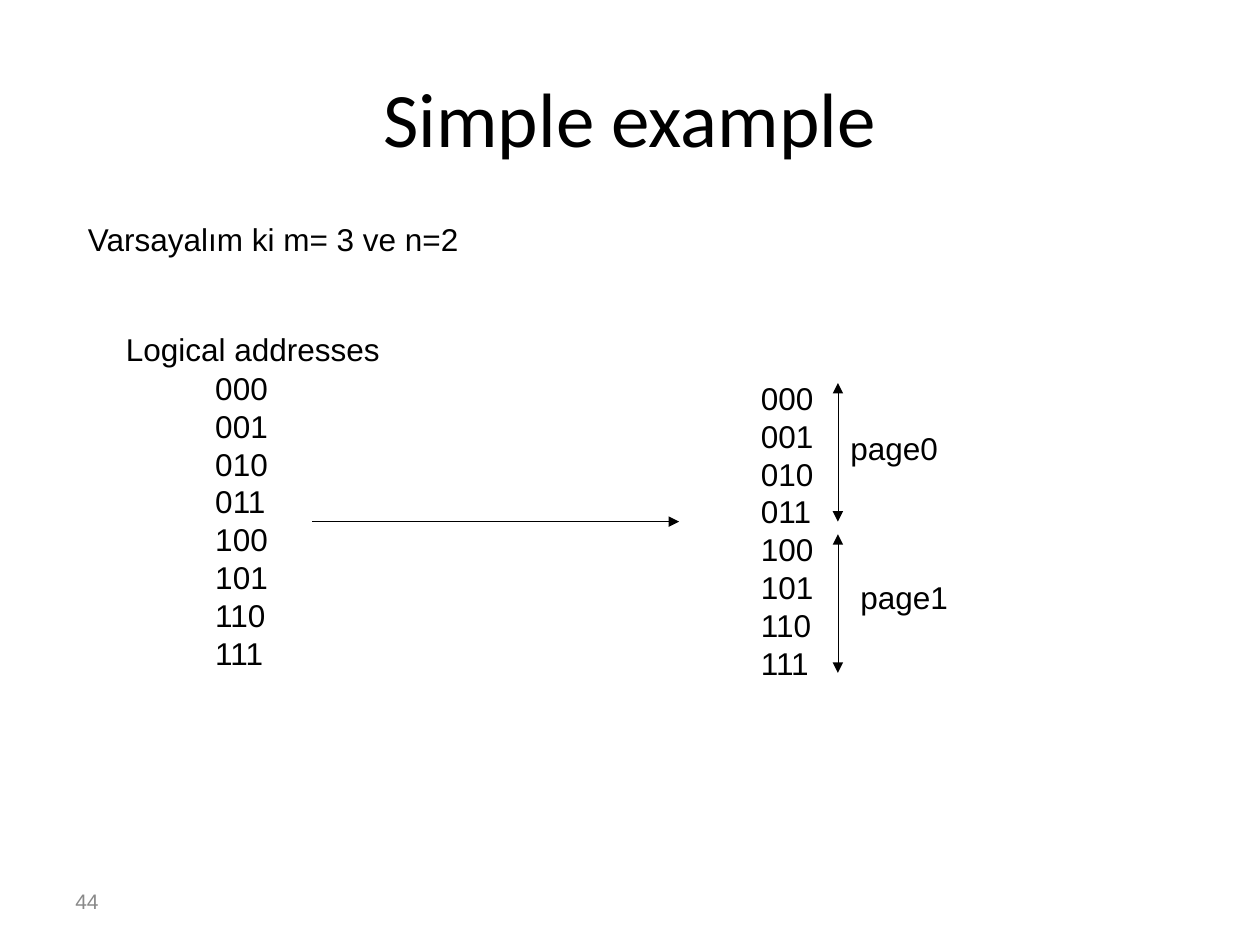
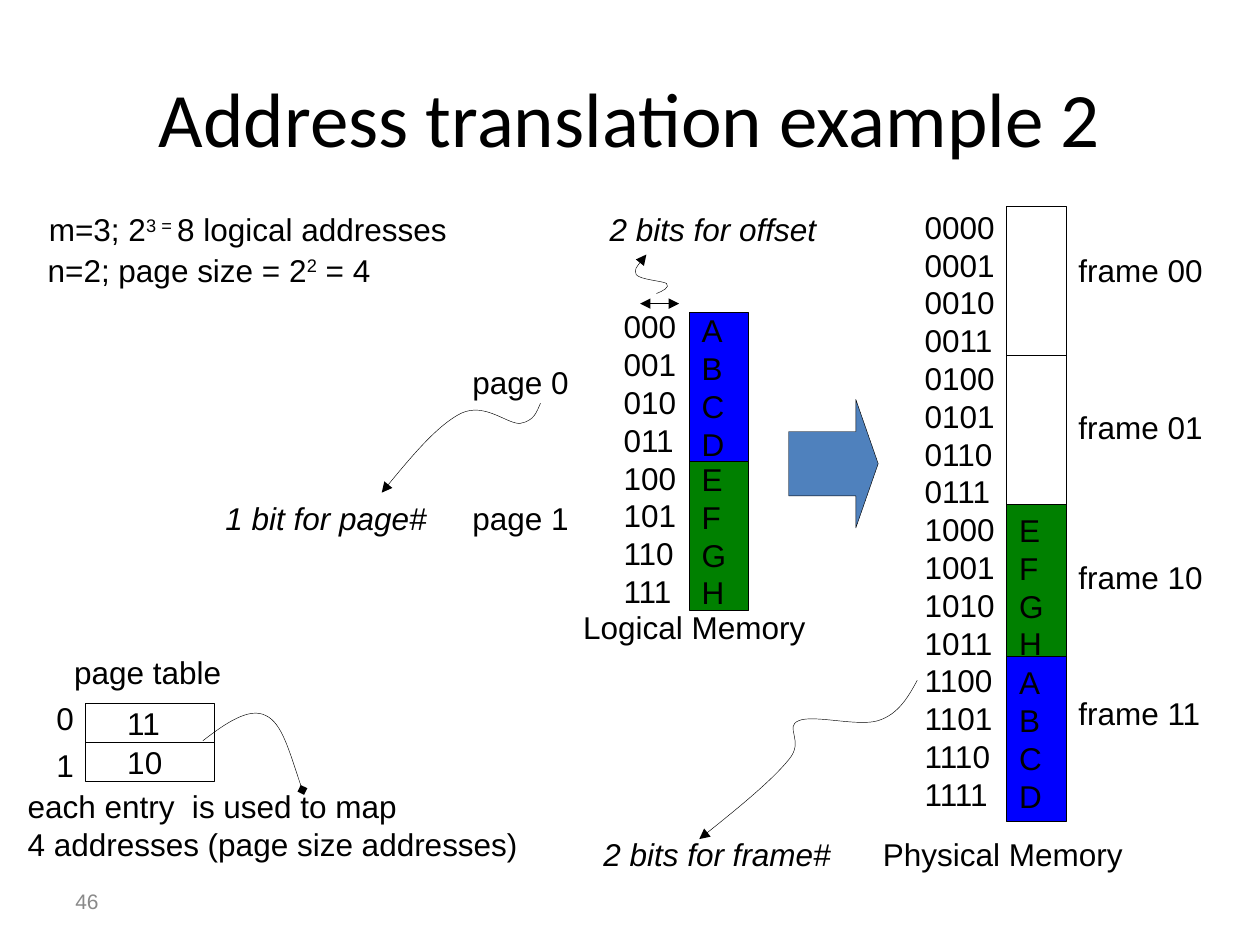
from lxml import etree
from pptx import Presentation
from pptx import util as u
from pptx.dml.color import RGBColor
from pptx.enum import shapes, text
from pptx.oxml import ns

BLACK, GRAY, BLUE, GREEN, ARROW = "000000", "898989", "0000FF", "008000", "4F81BD"
BODY, HEADING = "Arial", "Calibri"
CELL_W, CELL_H = 0.47, 1.18


def color(value):
    """Turn a hex string into a colour."""
    return RGBColor.from_string(value)


def write(tf, content, size=18, font=BODY, ink=BLACK, italic=False,
          align=text.PP_ALIGN.LEFT):
    """Write lines into a frame; parts between carets are superscript."""
    for i, line in enumerate(content.split("\n")):
        p = tf.paragraphs[0] if i == 0 else tf.add_paragraph()
        p.alignment = align
        for j, part in enumerate(line.split("^")):
            r = p.add_run()
            r.text = part
            if j % 2:
                r._r.get_or_add_rPr().set("baseline", "30000")
        p.font.size, p.font.name = u.Pt(size), font
        p.font.italic = italic
        p.font.color.rgb = color(ink)


def label(s, x, y, w, content, italic=False):
    """Add an unwrapped label whose height follows its lines."""
    h = 0.1 + 0.3 * len(content.split("\n"))
    tf = s.shapes.add_textbox(*map(u.Inches, (x, y, w, h))).text_frame
    tf.word_wrap = False
    tf.margin_right = 0
    tf.auto_size = text.MSO_AUTO_SIZE.SHAPE_TO_FIT_TEXT
    write(tf, content, italic=italic)


def fixed_text(s, box, content, **style):
    """Add wrapped, vertically centred text in a fixed box."""
    tf = s.shapes.add_textbox(*map(u.Inches, box)).text_frame
    tf.word_wrap = True
    tf.vertical_anchor = text.MSO_ANCHOR.MIDDLE
    write(tf, content, **style)


def addresses(s, x, y, w, bits):
    """List every binary address of the given number of bits."""
    label(s, x, y, w, "\n".join(format(i, f"0{bits}b") for i in range(2 ** bits)))


def outline(sp, head=None, tail=None):
    """Give a shape or connector a hairline with optional arrowheads."""
    sp.line.color.rgb = color(BLACK)
    sp.line.width = u.Pt(0.25)
    ln = sp.line._get_or_add_ln()
    for tag, kind in (("a:headEnd", head), ("a:tailEnd", tail)):
        if kind:
            etree.SubElement(ln, ns.qn(tag)).set("type", kind)


def block(s, x, y, w, h, fill=None, content="", inset=0.1,
          kind=shapes.MSO_SHAPE.RECTANGLE):
    """Add an outlined block with optional fill and text."""
    sp = s.shapes.add_shape(kind, *map(u.Inches, (x, y, w, h)))
    sp.shadow.inherit = False
    if fill:
        sp.fill.solid()
        sp.fill.fore_color.rgb = color(fill)
    else:
        sp.fill.background()
    outline(sp)
    if content:
        tf = sp.text_frame
        tf.word_wrap = False
        tf.margin_left = u.Inches(inset)
        tf.vertical_anchor = text.MSO_ANCHOR.MIDDLE
        write(tf, content)
    return sp


def arrow(s, x1, y1, x2, y2, head=None):
    """Draw a straight arrow."""
    sp = s.shapes.add_connector(shapes.MSO_CONNECTOR.STRAIGHT,
                                *map(u.Inches, (x1, y1, x2, y2)))
    outline(sp, head, "triangle")
    etree.SubElement(sp._element.spPr, ns.qn("a:effectLst"))


def curve(s, x, y, points, tail="triangle"):
    """Draw a cubic curve from (x, y); each three points form a segment."""
    fb = s.shapes.build_freeform(u.Inches(x), u.Inches(y))
    fb.add_line_segments([(u.Inches(x + dx), u.Inches(y + dy)) for dx, dy in points],
                         close=False)
    sp = fb.convert_to_shape()
    path = sp._element.find(".//" + ns.qn("a:path"))
    lines = path.findall(ns.qn("a:lnTo"))
    for i in range(0, len(lines), 3):
        bezier = etree.SubElement(path, ns.qn("a:cubicBezTo"))
        for line in lines[i:i + 3]:
            bezier.append(line[0])
            path.remove(line)
    sp.shadow.inherit = False
    sp.fill.background()
    outline(sp, tail=tail)


def new_slide(prs, title, number):
    """Add a slide with the shared title and page number."""
    s = prs.slides.add_slide(prs.slide_layouts[6])
    fixed_text(s, (0.5, 6.95, 2.33, 0.4), str(number), size=12, ink=GRAY)
    fixed_text(s, (0.5, 0.3, 9, 1.25), title, size=44, font=HEADING,
               align=text.PP_ALIGN.CENTER)
    return s


def paged_addresses(s, x, y):
    """List logical addresses split into two pages."""
    addresses(s, x, y, 0.61, 3)
    for i, (dx, dy) in enumerate(((0.71, 0.4), (0.79, 1.58))):
        top = y + 0.08 + 1.2 * i
        arrow(s, x + 0.71, top, x + 0.71, top + 1.1, head="triangle")
        label(s, x + dx, y + dy, 0.89, f"page{i}")


def simple_example(prs):
    """Build the slide that groups addresses into pages."""
    s = new_slide(prs, "Simple example", 44)
    label(s, 0.6, 1.7, 3.16, "Varsayalım ki m= 3 ve n=2")
    label(s, 0.9, 2.57, 2.21, "Logical addresses")
    addresses(s, 1.61, 2.88, 0.61, 3)
    arrow(s, 2.48, 4.14, 5.39, 4.14)
    paged_addresses(s, 5.94, 2.96)


def logical_memory(s, x, y):
    """Draw the two logical pages with addresses and bit notes."""
    for i, (fill, content) in enumerate(((BLUE, "A\nB\nC\nD"), (GREEN, "E\nF\nG\nH"))):
        block(s, x, y + i * CELL_H, CELL_W, CELL_H, fill, content)
        label(s, x - 1.82, y + 0.35 + 1.08 * i, 0.96, f"page {i}")
    addresses(s, x - 0.62, y - 0.09, 0.61, 3)
    label(s, x - 0.94, y + 2.3, 1.96, "Logical Memory")
    curve(s, x - 1.18, y + 0.72,
          [(-0.03, 0.07), (-0.05, 0.14), (-0.16, 0.16),
           (-0.26, 0.17), (-0.44, -0.01), (-0.63, 0.08),
           (-0.81, 0.17), (-1.04, 0.44), (-1.26, 0.71)])
    label(s, x - 3.78, y + 1.43, 1.8, "1 bit for page#", italic=True)
    arrow(s, x - 0.39, y - 0.07, x - 0.08, y - 0.07, head="triangle")
    label(s, x - 0.73, y - 0.86, 1.84, "2 bits for offset", italic=True)
    curve(s, x - 0.26, y - 0.15,
          [(0.05, -0.02), (0.11, -0.05), (0.08, -0.08),
           (0.05, -0.1), (-0.13, -0.11), (-0.16, -0.15),
           (-0.18, -0.19), (-0.13, -0.25), (-0.08, -0.31)])


def physical_memory(s, x, y):
    """Draw the four physical frames with addresses and bit note."""
    frames = ((0, CELL_H, None, "", 0.3),
              (CELL_H, CELL_H, None, "", 1.55),
              (2 * CELL_H, 1.31, GREEN, "E\nF\nG\nH", 2.74),
              (3.57, 1.31, BLUE, "A\nB\nC\nD", 3.82))
    for i, (dy, h, fill, content, label_dy) in enumerate(frames):
        block(s, x, y + dy, CELL_W, h, fill, content)
        label(s, x + 0.47, y + label_dy, 1.18, f"frame {i:02b}")
    addresses(s, x - 0.75, y - 0.04, 0.75, 4)
    label(s, x - 1.08, y + 4.94, 2.1, "Physical Memory")
    curve(s, x - 0.71, y + 3.76,
          [(-0.07, 0.13), (-0.15, 0.27), (-0.31, 0.32),
           (-0.47, 0.37), (-0.82, 0.27), (-0.94, 0.32),
           (-1.06, 0.37), (-0.89, 0.48), (-1.02, 0.63),
           (-1.15, 0.79), (-1.44, 1.03), (-1.73, 1.26)])
    label(s, x - 3.3, y + 4.94, 2, "2 bits for frame#", italic=True)


def page_table(s, x, y):
    """Draw the page table with its indexes and explanation."""
    label(s, x - 0.19, y - 0.45, 1.37, "page table")
    for i, entry in enumerate(("11", "10")):
        block(s, x, y + 0.31 * i, 1.02, 0.31, content=entry, inset=0.33)
        label(s, x - 0.33, y - 0.08 + 0.37 * i, 0.34, str(i))
    curve(s, x + 0.93, y + 0.3,
          [(0.18, -0.14), (0.37, -0.27), (0.5, -0.2),
           (0.63, -0.14), (0.69, 0.1), (0.79, 0.39)], tail="diamond")
    label(s, x - 0.56, y + 0.62, 4.09,
          "each entry  is used to map\n4 addresses (page size addresses)")


def translation_example(prs):
    """Build the slide that maps logical to physical memory."""
    s = new_slide(prs, "Address translation example 2", 46)
    label(s, 0.29, 1.62, 3.36, "m=3; 2^3 = ^8 logical addresses")
    label(s, 0.28, 1.94, 2.76, "n=2; page size = 2^2^ = 4")
    logical_memory(s, 5.47, 2.48)
    physical_memory(s, 7.99, 1.64)
    page_table(s, 0.68, 5.58)
    sp = block(s, 6.26, 3.17, 0.71, 1.02, ARROW, kind=shapes.MSO_SHAPE.RIGHT_ARROW)
    sp.adjustments[0], sp.adjustments[1] = 0.5, 0.25


def main():
    """Build and save the presentation."""
    prs = Presentation()
    prs.slide_width, prs.slide_height = u.Inches(10), u.Inches(7.5)
    simple_example(prs)
    translation_example(prs)
    prs.save("out.pptx")


if __name__ == "__main__":
    main()
